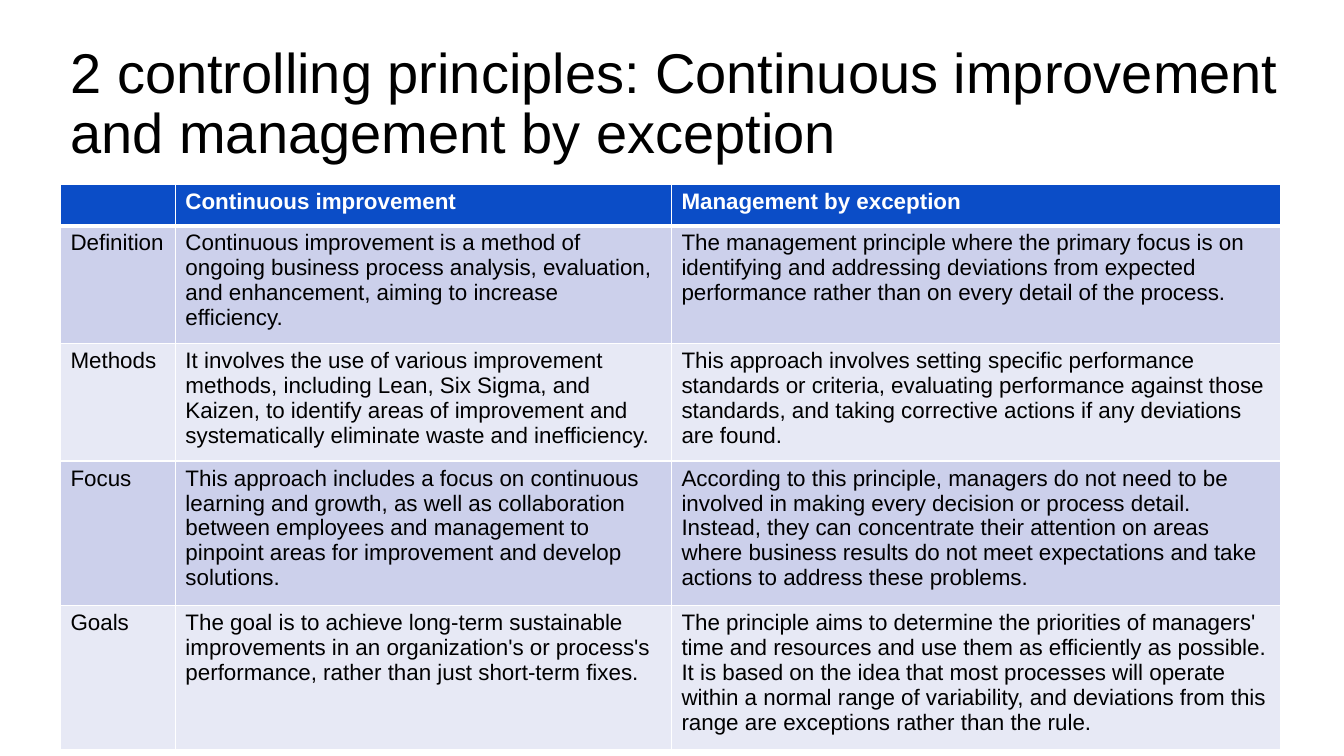
from lxml.etree import SubElement
from pptx import Presentation
from pptx.dml.color import RGBColor
from pptx.enum.text import MSO_ANCHOR
from pptx.oxml import parse_xml
from pptx.oxml.ns import nsdecls
from pptx.util import Inches, Pt


def style_span(span, size, color, bold=False):
    span.font.name = "Arial"
    span.font.size = Pt(size)
    span.font.bold = bold
    span.font.color.rgb = RGBColor.from_string(color)


def add_borders(cell, widths):
    properties = cell._tc.get_or_add_tcPr()
    for position, (side, width) in enumerate(widths.items()):
        line = parse_xml(
            f'<a:ln{side} {nsdecls("a")} w="{Pt(width)}"><a:solidFill>'
            f'<a:srgbClr val="FFFFFF"/></a:solidFill></a:ln{side}>'
        )
        properties.insert(position, line)


deck = Presentation()
deck.slide_width = Inches(13.33)
deck.slide_height = Inches(7.5)
page = deck.slides.add_slide(deck.slide_layouts[6])

title = page.shapes.add_textbox(Inches(0.6), Inches(0.32), Inches(12.17), Inches(1.45))
title.text_frame.word_wrap = True
title.text_frame.vertical_anchor = MSO_ANCHOR.MIDDLE
para = title.text_frame.paragraphs[0]
para.line_spacing = 0.9
span = para.add_run()
span.text = "2 controlling principles: Continuous improvement and management by exception"
style_span(span, 40, "000000")

principles = [
    ("", "Continuous improvement", "Management by exception"),
    (
        "Definition",
        "Continuous improvement is a method of ongoing business process analysis, "
        "evaluation, and enhancement, aiming to increase efficiency.",
        "The management principle where the primary focus is on identifying and "
        "addressing deviations from expected performance rather than on every detail "
        "of the process.",
    ),
    (
        "Methods",
        "It involves the use of various improvement methods, including Lean, Six Sigma, "
        "and Kaizen, to identify areas of improvement and systematically eliminate "
        "waste and inefficiency.",
        "This approach involves setting specific performance standards or criteria, "
        "evaluating performance against those standards, and taking corrective actions "
        "if any deviations are found.",
    ),
    (
        "Focus",
        "This approach includes a focus on continuous learning and growth, as well as "
        "collaboration between employees and management to pinpoint areas for "
        "improvement and develop solutions.",
        "According to this principle, managers do not need to be involved in making "
        "every decision or process detail. Instead, they can concentrate their attention "
        "on areas where business results do not meet expectations and take actions to "
        "address these problems.",
    ),
    (
        "Goals",
        "The goal is to achieve long-term sustainable improvements in an organization's "
        "or process's performance, rather than just short-term fixes.",
        "The principle aims to determine the priorities of managers' time and resources "
        "and use them as efficiently as possible. It is based on the idea that most "
        "processes will operate within a normal range of variability, and deviations "
        "from this range are exceptions rather than the rule.",
    ),
]
column_widths = [1.14, 4.92, 6.04]
row_heights = [0.41, 1.09, 1.09, 1.34, 1.34]

table = page.shapes.add_table(
    len(principles), len(column_widths), Inches(0.6), Inches(1.83),
    Inches(sum(column_widths)), Inches(sum(row_heights)),
).table
for column, width in zip(table.columns, column_widths):
    column.width = Inches(width)

for row_index, (texts, height) in enumerate(zip(principles, row_heights)):
    table.rows[row_index].height = Inches(height)
    header = row_index == 0
    fill = "0B4DC7" if header else ("E7E9F5", "CCD0EB")[row_index % 2]
    borders = {"L": 1, "R": 1, "T": 3 if row_index == 1 else 1, "B": 3 if header else 1}
    for column_index, text in enumerate(texts):
        cell = table.cell(row_index, column_index)
        cell.fill.solid()
        cell.fill.fore_color.rgb = RGBColor.from_string(fill)
        add_borders(cell, borders)
        para = cell.text_frame.paragraphs[0]
        if text:
            span = para.add_run()
            span.text = text
            style_span(span, 16, "FFFFFF" if header else "000000", header)
        else:
            para.font.size = Pt(16)

deck.save("out.pptx")
